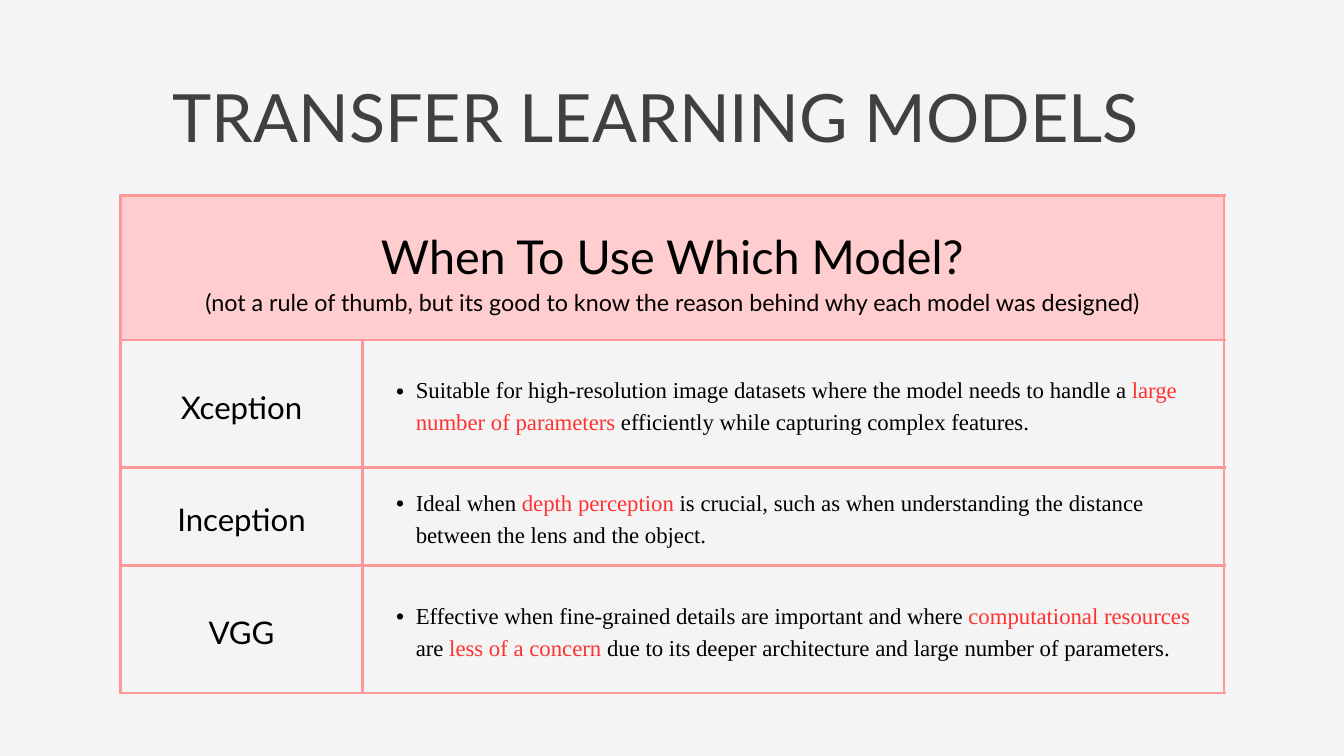
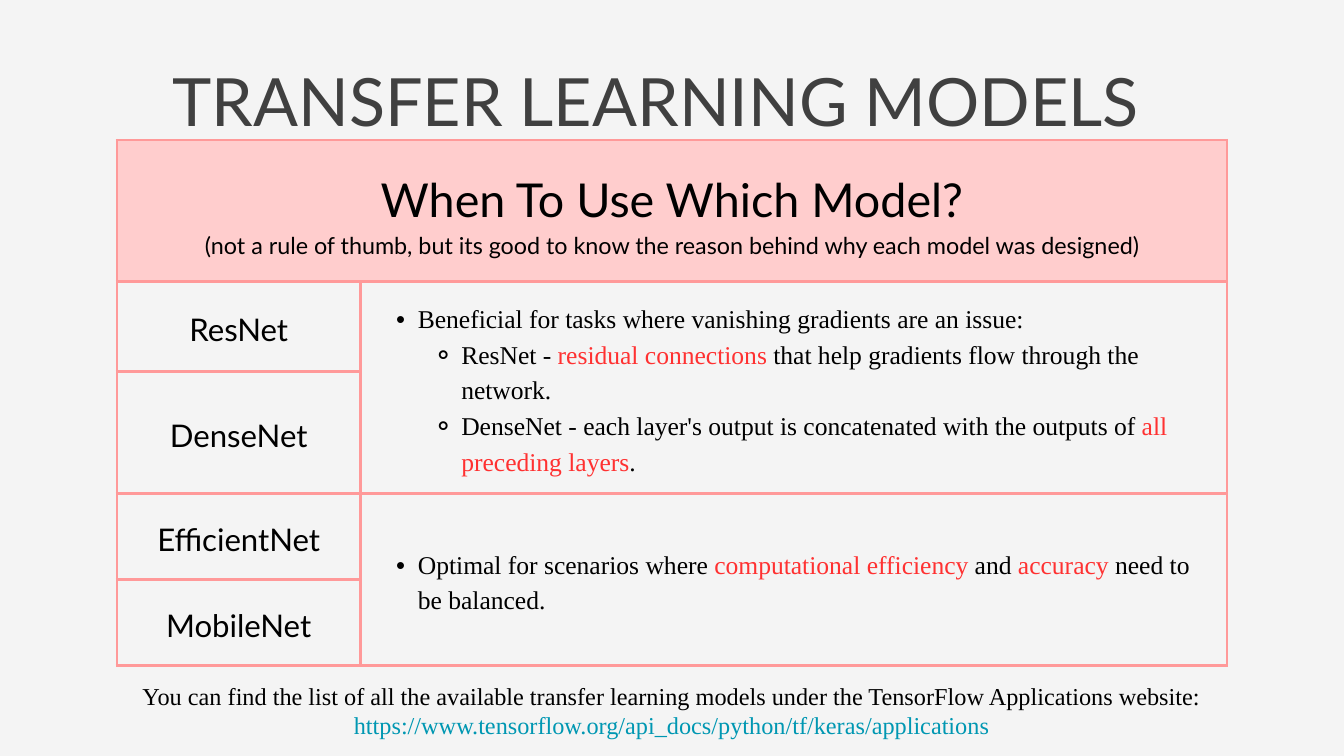
from dataclasses import dataclass

from lxml.etree import SubElement
from pptx import Presentation
from pptx.dml.color import RGBColor
from pptx.enum.text import MSO_ANCHOR, MSO_AUTO_SIZE, PP_ALIGN
from pptx.oxml.ns import qn
from pptx.util import Emu, Pt

PX = 9525  # EMU per px, 96 px to the inch
COLORS = {
    "background": "F4F4F4",
    "title": "404040",
    "text": "000000",
    "accent": "FF3131",
    "link": "0097B2",
    "band": "FFCDCD",
    "border": "FF9999",
}
SANS, SERIF = "Lato", "Times New Roman"
CELL_INSET = 20
BORDER_PT = 3


@dataclass(frozen=True)
class Style:
    font: str
    size: float
    line: float
    color: str = "text"
    accent: str = "accent"
    align: PP_ALIGN = PP_ALIGN.CENTER


@dataclass(frozen=True)
class Bullet:
    char: str
    level: int
    left: int
    hang: int


@dataclass(frozen=True)
class Para:
    """Text in which every second part between bars takes the accent colour."""
    text: str
    style: Style
    bullet: Bullet | None = None


@dataclass(frozen=True)
class Group:
    """Models, as (name, row height), that share one description."""
    models: list[tuple[str, int]]
    points: list[Para]


@dataclass(frozen=True)
class ModelTable:
    left: int
    top: int
    columns: list[int]
    header_height: int
    groups: list[Group]


TITLE = Style(SANS, 71.3, 87, "title")
QUESTION = Style(SANS, 50, 70)
REMARK = Style(SANS, 25, 35)
MODEL = Style(SANS, 33.4, 46.8)
POINT = Style(SERIF, 24.4, 34.1, align=PP_ALIGN.LEFT)
LARGE_POINT = Style(SERIF, 27.4, 38.4, align=PP_ALIGN.LEFT)
SOURCE = Style(SERIF, 26, 31.7, accent="link")

DOT = Bullet("•", 1, 56, 28)
LARGE_DOT = Bullet("•", 1, 62, 31)
RING = Bullet("⚬", 2, 124, 41)

HEADER = [
    Para("When To Use Which Model?", QUESTION),
    Para("(not a rule of thumb, but its good to know the reason behind "
         "why each model was designed)", REMARK),
]


def px(value: int) -> Emu:
    return Emu(value * PX)


def rgb(name: str) -> RGBColor:
    return RGBColor.from_string(COLORS[name])


def add_bullet(p, bullet: Bullet) -> None:
    p.level = bullet.level
    pPr = p._p.get_or_add_pPr()
    pPr.set("marL", str(px(bullet.left)))
    pPr.set("indent", str(px(-bullet.hang)))
    SubElement(pPr, qn("a:buFont"), typeface="Arial")
    SubElement(pPr, qn("a:buChar"), char=bullet.char)


def write(tf, paras: list[Para]) -> None:
    tf.word_wrap = True
    for i, para in enumerate(paras):
        p = tf.add_paragraph() if i else tf.paragraphs[0]
        style = para.style
        if para.bullet:
            add_bullet(p, para.bullet)
        p.alignment = style.align
        p.line_spacing = Pt(style.line)
        for j, part in enumerate(para.text.split("|")):
            r = p.add_run()
            r.text = part
            r.font.name = style.font
            r.font.size = Pt(style.size)
            r.font.color.rgb = rgb(style.accent if j % 2 else style.color)


def add_text(slide, left: int, top: int, width: int, height: int, para: Para) -> None:
    sp = slide.shapes.add_textbox(px(left), px(top), px(width), px(height))
    tf = sp.text_frame
    tf.margin_left = tf.margin_right = tf.margin_top = tf.margin_bottom = 0
    tf.auto_size = MSO_AUTO_SIZE.SHAPE_TO_FIT_TEXT
    write(tf, [para])


def format_cell(cell, band: bool) -> None:
    cell.margin_left = cell.margin_right = px(CELL_INSET)
    cell.margin_top = cell.margin_bottom = px(CELL_INSET)
    cell.vertical_anchor = MSO_ANCHOR.MIDDLE
    tcPr = cell._tc.get_or_add_tcPr()
    for side in ("lnL", "lnR", "lnT", "lnB"):
        ln = SubElement(tcPr, qn(f"a:{side}"), w=str(Pt(BORDER_PT)))
        fill = SubElement(ln, qn("a:solidFill"))
        SubElement(fill, qn("a:srgbClr"), val=COLORS["border"])
    if band:
        cell.fill.solid()
        cell.fill.fore_color.rgb = rgb("band")
    else:
        cell.fill.background()


def add_model_table(slide, spec: ModelTable) -> None:
    models = [model for group in spec.groups for model in group.models]
    heights = [spec.header_height] + [height for _, height in models]
    frame = slide.shapes.add_table(
        len(heights), len(spec.columns), px(spec.left), px(spec.top),
        px(sum(spec.columns)), px(sum(heights)))
    table = frame.table
    table.first_row = table.horz_banding = False
    for column, width in zip(table.columns, spec.columns):
        column.width = px(width)
    for i, (row, height) in enumerate(zip(table.rows, heights)):
        row.height = px(height)
        for cell in row.cells:
            format_cell(cell, band=i == 0)

    last = len(spec.columns) - 1
    table.cell(0, 0).merge(table.cell(0, last))
    write(table.cell(0, 0).text_frame, HEADER)
    for i, (name, _) in enumerate(models, 1):
        write(table.cell(i, 0).text_frame, [Para(name, MODEL)])
    first = 1
    for group in spec.groups:
        end = first + len(group.models) - 1
        table.cell(first, 1).merge(table.cell(end, last))
        write(table.cell(first, 1).text_frame, group.points)
        first = end + 1


def add_models_slide(prs, title_top: int, spec: ModelTable):
    slide = prs.slides.add_slide(prs.slide_layouts[6])
    slide.background.fill.solid()
    slide.background.fill.fore_color.rgb = rgb("background")
    add_model_table(slide, spec)
    add_text(slide, 108, title_top, 1658, 116, Para("TRANSFER LEARNING MODELS", TITLE))
    return slide


SINGLE_MODELS = ModelTable(172, 279, [346, 706, 525], 207, [
    Group([("Xception", 182)], [
        Para("Suitable for high-resolution image datasets where the model needs to "
             "handle a |large number of parameters| efficiently while capturing "
             "complex features.", POINT, DOT)]),
    Group([("Inception", 140)], [
        Para("Ideal when |depth perception| is crucial, such as when understanding "
             "the distance between the lens and the object.", POINT, DOT)]),
    Group([("VGG", 182)], [
        Para("Effective when fine-grained details are important and where "
             "|computational resources| are |less of a concern| due to its deeper "
             "architecture and large number of parameters.", POINT, DOT)]),
])

PAIRED_MODELS = ModelTable(167, 200, [348, 709, 529], 202, [
    Group([("ResNet", 129), ("DenseNet", 174)], [
        Para("Beneficial for tasks where vanishing gradients are an issue:",
             LARGE_POINT, LARGE_DOT),
        Para("ResNet - |residual connections| that help gradients flow through "
             "the network.", LARGE_POINT, RING),
        Para("DenseNet - each layer's output is concatenated with the outputs of "
             "|all preceding layers|.", LARGE_POINT, RING)]),
    Group([("EfficientNet", 123), ("MobileNet", 123)], [
        Para("Optimal for scenarios where |computational efficiency| and |accuracy |"
             "need to be balanced.", LARGE_POINT, LARGE_DOT)]),
])


def main() -> None:
    prs = Presentation()
    prs.slide_width, prs.slide_height = px(1920), px(1080)
    add_models_slide(prs, 107, SINGLE_MODELS)
    slide = add_models_slide(prs, 84, PAIRED_MODELS)
    add_text(slide, 108, 972, 1704, 84, Para(
        "You can find the list of all the available transfer learning models under "
        "the TensorFlow Applications website: "
        "|https://www.tensorflow.org/api_docs/python/tf/keras/applications", SOURCE))
    prs.save("out.pptx")


if __name__ == "__main__":
    main()
